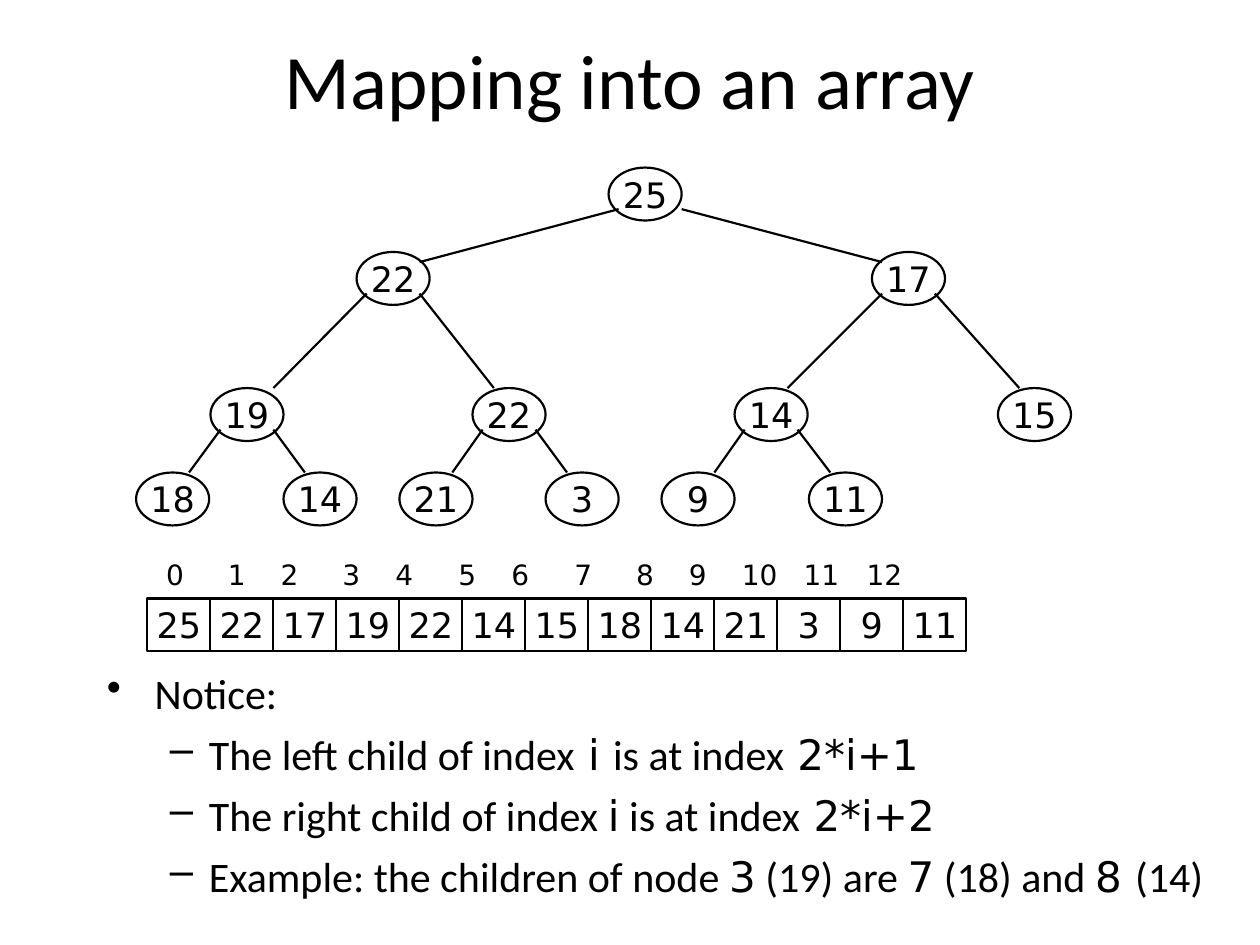
from lxml import etree
from pptx import Presentation
from pptx.dml.color import RGBColor
from pptx.enum.shapes import MSO_CONNECTOR as CONN, MSO_SHAPE as SHAPE
from pptx.enum.text import MSO_ANCHOR as ANCHOR, PP_ALIGN as ALIGN
from pptx.oxml.ns import qn
from pptx.util import Inches, Pt

COLORS = {"ink": "000000"}
INK = RGBColor.from_string(COLORS["ink"])
SANS, MONO = "Calibri", "DejaVu Sans"


def write(p, text, size=20, font=MONO, align=None):
    if align is not None:
        p.alignment = align
    r = p.add_run()
    r.text = text
    r.font.size, r.font.name = Pt(size), font
    r.font.color.rgb = INK


def add_cell(shapes, kind, x, y, width, value):
    """Add an outlined shape with a centred value."""
    sp = shapes.add_shape(kind, Inches(x), Inches(y), Inches(width), Inches(0.42))
    sp.shadow.inherit = False
    sp.fill.background()
    sp.line.color.rgb, sp.line.width = INK, Pt(1.25)
    tf = sp.text_frame
    tf.word_wrap, tf.vertical_anchor = False, ANCHOR.MIDDLE
    write(tf.paragraphs[0], str(value), align=ALIGN.CENTER)


prs = Presentation()
prs.slide_width, prs.slide_height = Inches(10), Inches(7.5)
s = prs.slides.add_slide(prs.slide_layouts[5])

title = s.shapes.title
title.left, title.top, title.width, title.height = (
    Inches(v) for v in (0.5, 0, 9, 1.25))
title.text_frame.vertical_anchor = ANCHOR.MIDDLE
write(title.text_frame.paragraphs[0], "Mapping into an array", size=44, font=SANS,
      align=ALIGN.CENTER)

# Rules about children
box = s.shapes.add_textbox(Inches(0.75), Inches(5.25), Inches(9), Inches(2.08))
tf = box.text_frame
tf.word_wrap = True
notes = [
    (0, [("Notice:", SANS)]),
    (1, [("The left child of index", SANS), (" i ", MONO),
         ("is at index", SANS), (" 2*i+1", MONO)]),
    (1, [("The right child of index ", SANS), ("i", MONO),
         (" is at index", SANS), (" 2*i+2", MONO)]),
    (1, [("Example: the children of node ", SANS), ("3", MONO), (" (19) are ", SANS),
         ("7", MONO), (" (18) and ", SANS), ("8 ", MONO), ("(14)", SANS)]),
]
bullets = [("•", 0.38, 0.38), ("–", 0.81, 0.31)]
for i, (level, runs) in enumerate(notes):
    p = tf.add_paragraph() if i else tf.paragraphs[0]
    p.level = level
    if i:
        p.space_before = Pt(6)
    char, margin, hanging = bullets[level]
    pPr = p._p.get_or_add_pPr()
    pPr.set("marL", str(Inches(margin)))
    pPr.set("indent", str(-Inches(hanging)))
    etree.SubElement(pPr, qn("a:buChar"), char=char)
    for text, font in runs:
        write(p, text, size=24, font=font)

# Heap tree: node i has children 2*i+1 and 2*i+2
heap = [25, 22, 17, 19, 22, 14, 15, 18, 14, 21, 3, 9, 11]
node_x = [4.83, 2.83, 6.92, 1.67, 3.75, 5.83, 7.92,
          1.08, 2.25, 3.17, 4.33, 5.25, 6.42]
level_y = [1.33, 2, 3.08, 3.75]
node_y = [level_y[(i + 1).bit_length() - 1] for i in range(len(heap))]
edge_start = {2: 0.58}
edge_end = {1: (0.5, 0.08), 2: (0.08, 0.08), 3: (0.5, 0)}

tree = s.shapes.add_group_shape().shapes
for i, value in enumerate(heap):
    add_cell(tree, SHAPE.OVAL, node_x[i], node_y[i], 0.58, value)
    if i == 0:
        continue
    parent, is_left = (i - 1) // 2, i % 2 == 1
    dx = edge_start.get(i, 0.08 if is_left else 0.5)
    end_dx, end_dy = edge_end.get(i, (0.42 if is_left else 0.17, 0))
    edge = tree.add_connector(
        CONN.STRAIGHT, Inches(node_x[parent] + dx), Inches(node_y[parent] + 0.33),
        Inches(node_x[i] + end_dx), Inches(node_y[i] + end_dy))
    edge.line.color.rgb, edge.line.width = INK, Pt(1.25)
    etree.SubElement(edge._element.spPr, qn("a:effectLst"))

# Array with its indices on centred tab stops
array = s.shapes.add_group_shape().shapes
for i, value in enumerate(heap):
    add_cell(array, SHAPE.RECTANGLE, 1.17 + 0.5 * i, 4.75, 0.5, value)

box = array.add_textbox(Inches(1.08), Inches(4.38), Inches(6.92), Inches(0.37))
box.text_frame.word_wrap = True
p = box.text_frame.paragraphs[0]
tabs = etree.SubElement(p._p.get_or_add_pPr(), qn("a:tabLst"))
for x in (0.21, 0.7, 1.12, 1.61, 2.03, 2.53, 2.95, 3.45, 3.94, 4.36, 4.85, 5.34, 5.84):
    etree.SubElement(tabs, qn("a:tab"), pos=str(Inches(x)), algn="ctr")
write(p, "".join(f"\t{i}" for i in range(len(heap))), size=16)

prs.save("out.pptx")
